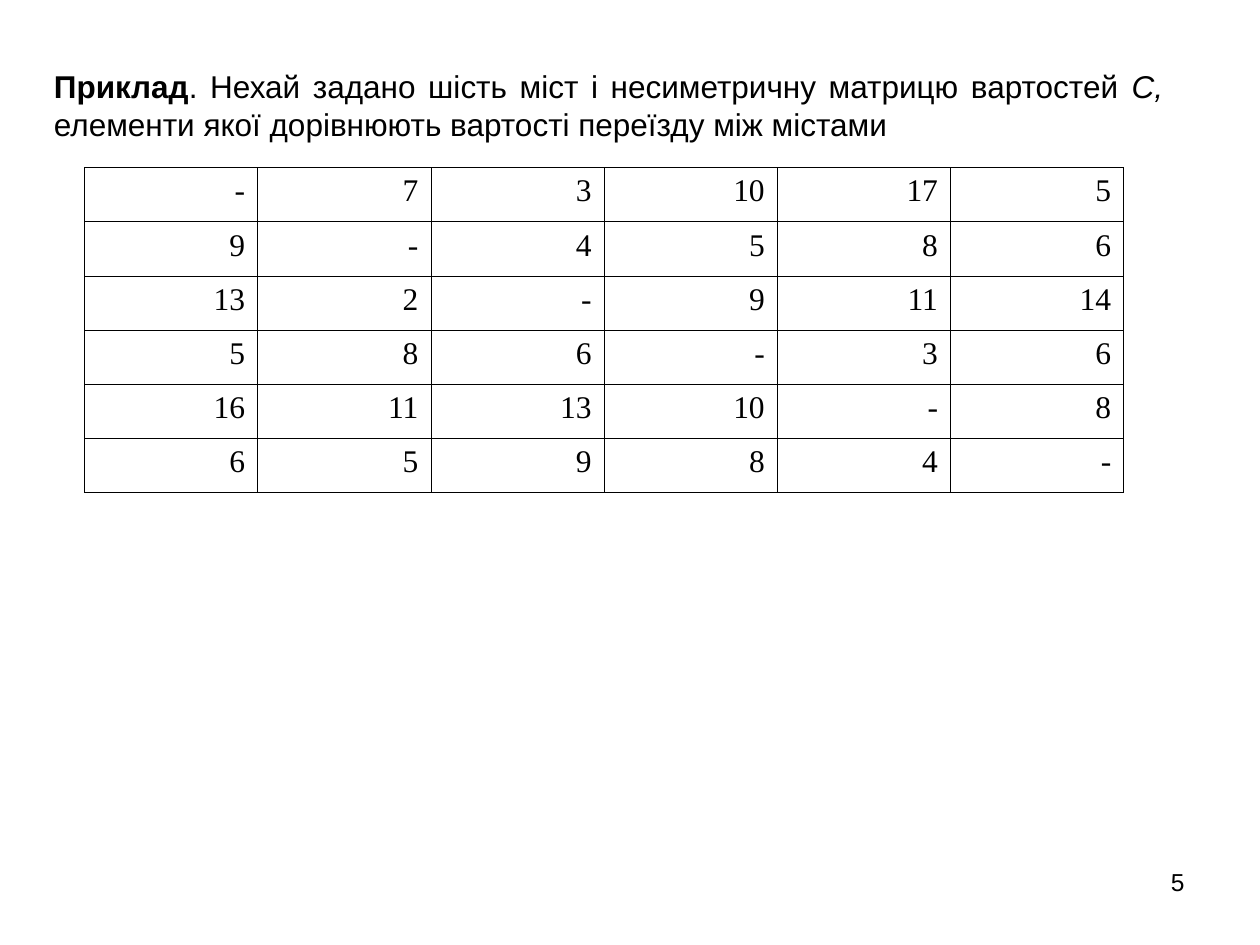
from lxml import etree
from pptx import Presentation
from pptx import util as u
from pptx.dml.color import RGBColor
from pptx.enum import text
from pptx.oxml.ns import qn

BLACK = "000000"
ALIGN = text.PP_ALIGN


def add_run(paragraph, words, font="Arial", size=18, color=BLACK, bold=False, italic=False):
    run = paragraph.add_run()
    run.text = words
    run.font.name = font
    run.font.size = u.Pt(size)
    run.font.bold = bold
    run.font.italic = italic
    run.font.color.rgb = RGBColor.from_string(color)


def set_borders(cell, color=BLACK, width=0.45):
    properties = cell._tc.get_or_add_tcPr()
    for side in ("a:lnL", "a:lnR", "a:lnT", "a:lnB"):
        line = etree.SubElement(properties, qn(side), w=str(u.Pt(width)))
        fill = etree.SubElement(line, qn("a:solidFill"))
        etree.SubElement(fill, qn("a:srgbClr"), val=color)


presentation = Presentation()
presentation.slide_width = u.Inches(10)
presentation.slide_height = u.Inches(7.5)
slide = presentation.slides.add_slide(presentation.slide_layouts[6])

# Problem statement
statement = slide.shapes.add_textbox(u.Inches(0.33), u.Inches(0.48), u.Inches(9), u.Inches(0.7))
statement.text_frame.word_wrap = True
statement.text_frame.vertical_anchor = text.MSO_ANCHOR.MIDDLE
statement.text_frame.auto_size = text.MSO_AUTO_SIZE.SHAPE_TO_FIT_TEXT
paragraph = statement.text_frame.paragraphs[0]
paragraph.alignment = ALIGN.JUSTIFY
add_run(paragraph, "Приклад", bold=True)
add_run(paragraph, ". Нехай задано шість міст і несиметричну матрицю вартостей ")
add_run(paragraph, "С, ", italic=True)
add_run(paragraph, "елементи якої дорівнюють вартості переїзду між містами ")

# Cost matrix
costs = [
    ["-", "7", "3", "10", "17", "5"],
    ["9", "-", "4", "5", "8", "6"],
    ["13", "2", "-", "9", "11", "14"],
    ["5", "8", "6", "-", "3", "6"],
    ["16", "11", "13", "10", "-", "8"],
    ["6", "5", "9", "8", "4", "-"],
]
table = slide.shapes.add_table(
    len(costs), len(costs[0]), u.Inches(0.67), u.Inches(1.33), u.Inches(8.25), u.Inches(2.58)
).table
table.first_row = False
table.horz_banding = False
for row, values in enumerate(costs):
    for column, value in enumerate(values):
        cell = table.cell(row, column)
        set_borders(cell)
        cell.fill.background()
        paragraph = cell.text_frame.paragraphs[0]
        paragraph.alignment = ALIGN.RIGHT
        add_run(paragraph, value, font="Times New Roman")

# Page number
page_number = slide.shapes.add_textbox(u.Inches(7.17), u.Inches(6.83), u.Inches(2.33), u.Inches(0.52))
page_number.text_frame.word_wrap = True
paragraph = page_number.text_frame.paragraphs[0]
paragraph.alignment = ALIGN.RIGHT
add_run(paragraph, "5", size=14)

presentation.save("out.pptx")
